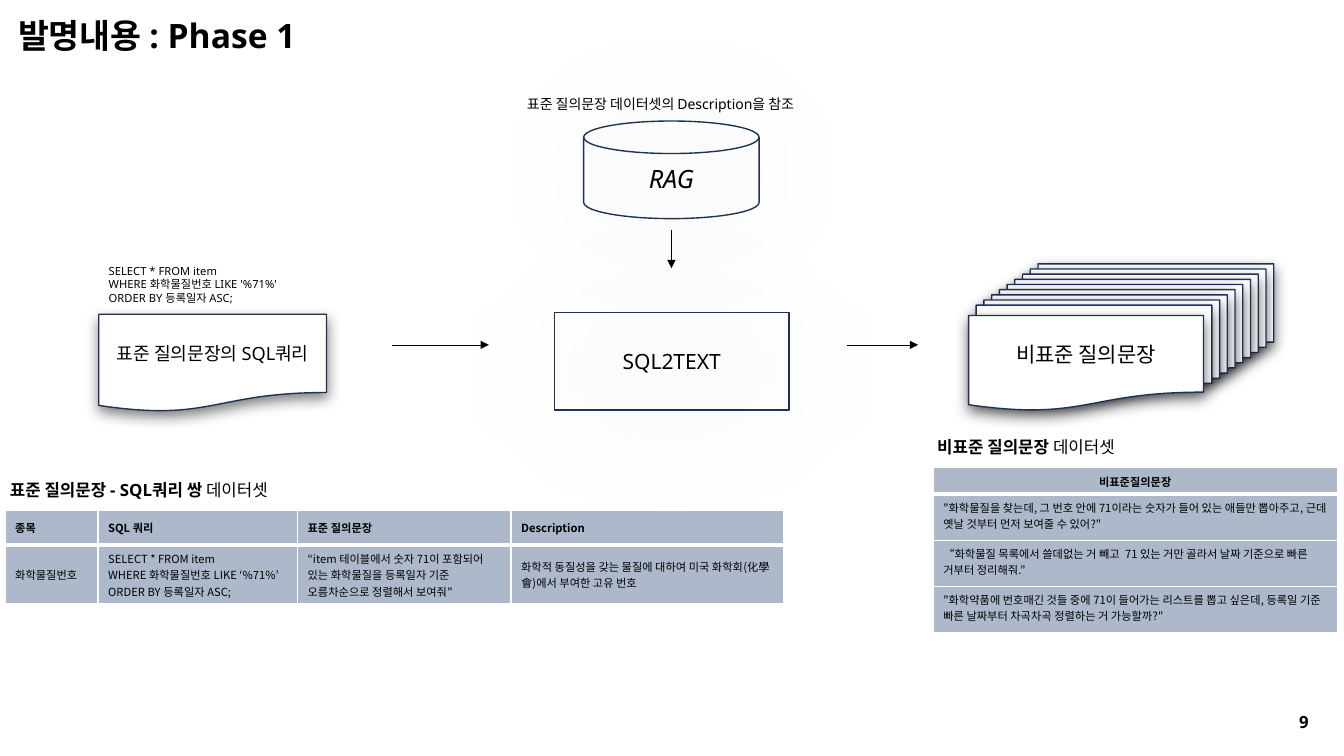
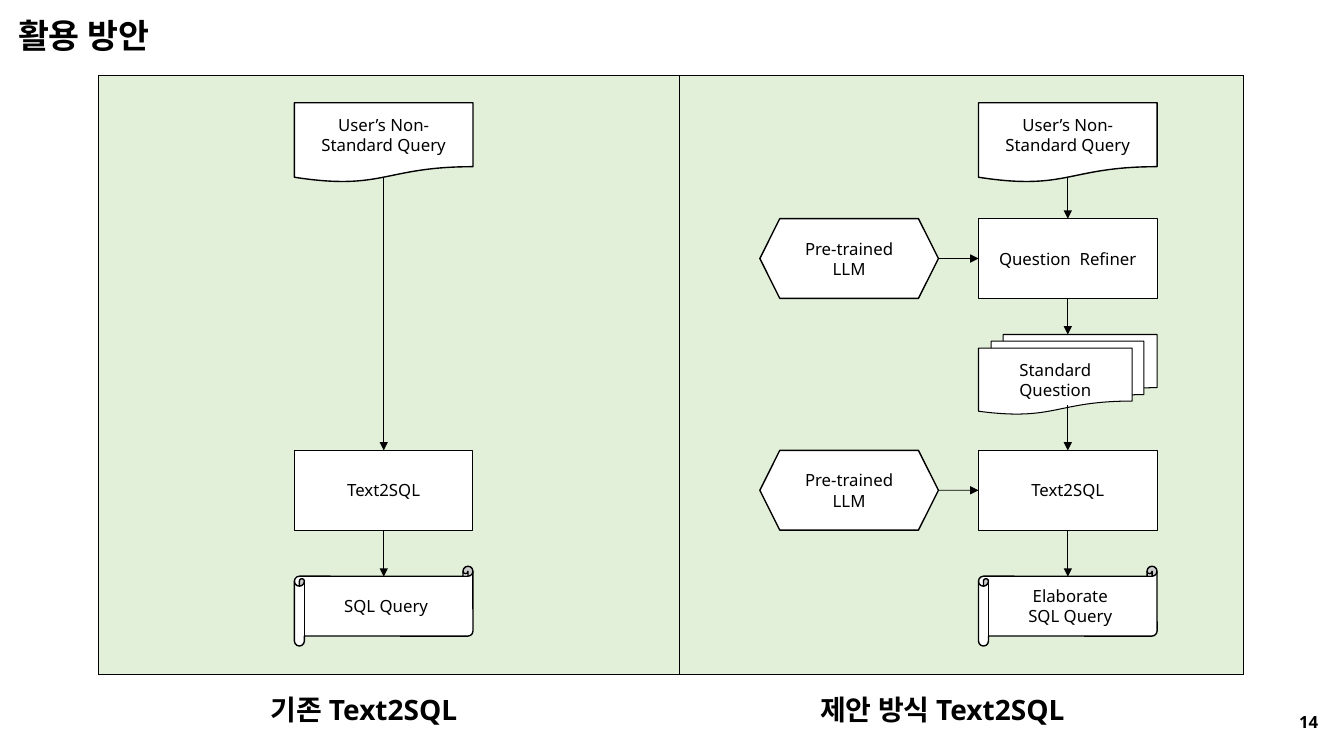
from lxml import etree
from pptx import Presentation
from pptx import util as u
from pptx.dml.color import RGBColor
from pptx.enum import shapes, text
from pptx.oxml import parse_xml
from pptx.oxml.ns import nsdecls, qn

Cm = u.Cm
KIND = shapes.MSO_SHAPE
LEFT, CENTER = text.PP_ALIGN.LEFT, text.PP_ALIGN.CENTER
TOP, MIDDLE = text.MSO_ANCHOR.TOP, text.MSO_ANCHOR.MIDDLE
COLORS = {"ink": "000000", "paper": "FFFFFF", "navy": "1E3256", "steel": "ADB9CA", "mint": "E2F0D9"}
LATIN, KOREAN = "Noto Sans", "Noto Sans CJK KR"
SOFT, WIDE = (50, 10), (43, 100)


def write(frame, lines, size, bold=False, italic=False, align=LEFT, anchor=TOP, font=LATIN):
    for name, value in {"word_wrap": True, "vertical_anchor": anchor}.items():
        setattr(frame, name, value)
    for index, line in enumerate(lines):
        paragraph = frame.paragraphs[0] if index == 0 else frame.add_paragraph()
        paragraph.alignment = align
        for part, words in enumerate(line.split("|")):
            run = paragraph.add_run()
            run.text = words
            look = {"size": u.Pt(size), "bold": bold and part == 0, "italic": italic, "name": font}
            for name, value in look.items():
                setattr(run.font, name, value)
            run.font.color.rgb = RGBColor.from_string(COLORS["ink"])
            etree.SubElement(run.font._element, qn("a:ea"), typeface=KOREAN)


def draw(slide, kind, box, label=(), size=12, line="ink", weight=1, fill="paper", shadow=None, italic=False):
    node = slide.shapes.add_shape(kind, *map(Cm, box))
    node.shadow.inherit = False
    if fill:
        node.fill.solid()
        node.fill.fore_color.rgb = RGBColor.from_string(COLORS[fill])
    else:
        node.fill.background()
    node.line.color.rgb = RGBColor.from_string(COLORS[line])
    node.line.width = u.Pt(weight)
    if shadow:
        opacity, blur = shadow
        node._element.spPr.find(qn("a:effectLst")).append(parse_xml(
            f'<a:outerShdw {nsdecls("a")} blurRad="{u.Pt(blur)}" dist="{u.Pt(4)}" dir="5400000" algn="t" rotWithShape="0">'
            f'<a:srgbClr val="{COLORS["ink"]}"><a:alpha val="{opacity * 1000}"/></a:srgbClr></a:outerShdw>'))
    write(node.text_frame, label, size, italic=italic, align=CENTER, anchor=MIDDLE)
    return node


deck = Presentation()
deck.slide_width, deck.slide_height = Cm(33.87), Cm(19.05)
title_layout = deck.slide_layouts[5]
title_area = {"left": 0.2, "top": 0.25, "width": 8.2, "height": 1.27}
for name, value in title_area.items():
    setattr(title_layout.placeholders[0], name, Cm(value))

pages = []
for heading, number in [("발명내용 : Phase 1", "9"), ("활용 방안", "14")]:
    page = deck.slides.add_slide(title_layout)
    page.shapes.title.text_frame.auto_size = text.MSO_AUTO_SIZE.NONE
    write(page.shapes.title.text_frame, [heading], 24, bold=True)
    number_area = page.shapes.add_textbox(Cm(32.49), Cm(17.81), Cm(1.19), Cm(0.76))
    write(number_area.text_frame, [number], 12, bold=True)
    pages.append(page)
phase, usage = pages

query_lines = ["SELECT * FROM item", "WHERE 화학물질번호 LIKE ‘%71%’", "ORDER BY 등록일자 ASC;"]
pair_rows = [
    [["종목"], ["SQL 쿼리"], ["표준 질의문장"], ["Description"]],
    [["화학물질번호"], query_lines,
     ["“item 테이블에서 숫자 71이 포함되어 있는 화학물질을 등록일자 기준 오름차순으로 정렬해서 보여줘\""],
     ["화학적 동질성을 갖는 물질에 대하여 미국 화학회(化學會)에서 부여한 고유 번호"]],
]
question_rows = [
    [["비표준질의문장"]],
    [["\"화학물질을 찾는데, 그 번호 안에 71이라는 숫자가 들어 있는 애들만 뽑아주고, 근데 옛날 것부터 먼저 보여줄 수 있어?\""]],
    [["“화학물질 목록에서 쓸데없는 거 빼고  71 있는 거만 골라서 날짜 기준으로 빠른 거부터 정리해줘.”"]],
    [["\"화학약품에 번호매긴 것들 중에 71이 들어가는 리스트를 뽑고 싶은데, 등록일 기준 빠른 날짜부터 차곡차곡 정렬하는 거 가능할까?\""]],
]
tables = [
    (phase, 0.13, 12.85, [2.34, 5.03, 5.38, 6.86], [0.89, 1.47], pair_rows, "steel", "paper", LEFT, MIDDLE),
    (phase, 23.52, 11.79, [10.18], [0.66, 1.16, 1.16, 1.16], question_rows, "steel", "paper", CENTER, TOP),
    (usage, 2.49, 1.91, [14.63], [15.09], [[[]]], "mint", "ink", LEFT, TOP),
    (usage, 17.12, 1.91, [14.22], [15.09], [[[]]], "mint", "ink", LEFT, TOP),
]
for page, left, top, widths, heights, rows, fill, border, head_align, body_anchor in tables:
    grid = page.shapes.add_table(len(heights), len(widths), Cm(left), Cm(top), Cm(sum(widths)), Cm(sum(heights))).table
    for column, width in zip(grid.columns, widths):
        column.width = Cm(width)
    for r, (row, height) in enumerate(zip(rows, heights)):
        grid.rows[r].height = Cm(height)
        for c, lines in enumerate(row):
            cell = grid.cell(r, c)
            head = r == 0
            write(cell.text_frame, lines, 8, bold=head, align=head_align if head else LEFT, font=KOREAN)
            cell.vertical_anchor = MIDDLE if head else body_anchor
            edges = {"lnL": 1, "lnR": 1, "lnT": 1, "lnB": 1}
            if len(rows) > 1:
                edges["lnB" if head else "lnT"] = 3 if r < 2 else 1
            for edge, weight in edges.items():
                cell._tc.get_or_add_tcPr().append(parse_xml(
                    f'<a:{edge} {nsdecls("a")} w="{u.Pt(weight)}"><a:solidFill>'
                    f'<a:srgbClr val="{COLORS[border]}"/></a:solidFill></a:{edge}>'))
            cell.fill.solid()
            cell.fill.fore_color.rgb = RGBColor.from_string(COLORS[fill])

captions = [
    (phase, (0, 11.96, 9, 0.76), ["표준 질의문장 - SQL쿼리 쌍| 데이터셋"], 12, True),
    (phase, (23.37, 10.87, 7, 0.76), ["비표준 질의문장 |데이터셋"], 12, True),
    (phase, (13.03, 2.29, 7.75, 0.69), ["표준 질의문장 데이터셋의 Description을 참조"], 10, False),
    (phase, (2.49, 6.53, 5.16, 1.27), [line.replace("‘", "'").replace("’", "'") for line in query_lines], 8, False),
    (usage, (6.58, 17.32, 6.15, 1.12), ["기존 Text2SQL"], 20, True),
    (usage, (20.42, 17.32, 7.47, 1.12), ["제안 방식 Text2SQL"], 20, True),
]
for page, box, lines, size, bold in captions:
    write(page.shapes.add_textbox(*map(Cm, box)).text_frame, lines, size, bold=bold)

DOCUMENT = KIND.FLOWCHART_DOCUMENT
draw(phase, DOCUMENT, (2.49, 7.92, 5.74, 2.46), ["표준 질의문장의 SQL쿼리"], 13, "navy", shadow=SOFT)
draw(phase, KIND.FLOWCHART_MAGNETIC_DISK, (14.71, 3.05, 4.42, 2.46), ["RAG"], 18, "navy", fill=None, shadow=WIDE, italic=True)
draw(phase, KIND.RECTANGLE, (13.97, 7.87, 5.92, 2.46), ["SQL2TEXT"], 15, "navy", fill=None, shadow=WIDE)
for sheet in range(9):
    draw(phase, DOCUMENT, (26.16 - 0.195 * sheet, 6.65 + 0.13 * sheet, 5.94, 2.46), line="navy", shadow=SOFT)
draw(phase, DOCUMENT, (24.41, 7.95, 5.92, 2.41), ["비표준 질의문장"], 15, "navy", shadow=SOFT)

WIDTH, HEIGHT = 4.5, 2.01
BASE_X, MODEL_X, NEW_X = 7.42, 19.15, 24.66
BASE_MID, NEW_MID = BASE_X + WIDTH / 2, NEW_X + WIDTH / 2
steps = [2.59 + 2.92 * step for step in range(5)]
flow = [
    (KIND.RECTANGLE, BASE_X, 3, ["Text2SQL"], 0.75),
    (KIND.RECTANGLE, NEW_X, 1, ["Question  Refiner"], 0.75),
    (KIND.RECTANGLE, NEW_X, 3, ["Text2SQL"], 0.75),
    (KIND.FLOWCHART_MULTIDOCUMENT, NEW_X, 2, ["Standard Question"], 0.75),
    (DOCUMENT, BASE_X, 0, ["User’s Non-Standard Query"], 1),
    (DOCUMENT, NEW_X, 0, ["User’s Non-Standard Query"], 1),
    (KIND.HEXAGON, MODEL_X, 1, ["Pre-trained LLM"], 1),
    (KIND.HEXAGON, MODEL_X, 3, ["Pre-trained LLM"], 1),
    (KIND.HORIZONTAL_SCROLL, BASE_X, 4, ["SQL Query"], 1),
    (KIND.HORIZONTAL_SCROLL, NEW_X, 4, ["Elaborate", "SQL Query"], 1),
]
nodes = [draw(usage, kind, (x, steps[step], WIDTH, HEIGHT), label, weight=weight)
         for kind, x, step, label, weight in flow]
base_sql, refiner, new_sql = nodes[:3]

document_end, scroll_edge = steps[0] + 1.86, steps[4] + 0.26
model_end = MODEL_X + WIDTH
refiner_mid, sql_mid = steps[1] + HEIGHT / 2, steps[3] + HEIGHT / 2
arrows = [
    (phase, 9.88, 8.69, 12.32, 8.69, {}),
    (phase, 16.92, 5.79, 16.92, 6.76, {}),
    (phase, 21.34, 8.69, 23.14, 8.69, {}),
    (usage, BASE_MID, document_end, BASE_MID, steps[3], {"end_connect": (base_sql, 0)}),
    (usage, BASE_MID, steps[3] + HEIGHT, BASE_MID, scroll_edge, {"begin_connect": (base_sql, 2)}),
    (usage, NEW_MID, document_end, NEW_MID, steps[1], {"end_connect": (refiner, 0)}),
    (usage, NEW_MID, steps[1] + HEIGHT, NEW_MID, steps[2], {"begin_connect": (refiner, 2)}),
    (usage, NEW_MID, steps[2] + 1.78, NEW_MID, steps[3], {"end_connect": (new_sql, 0)}),
    (usage, NEW_MID, steps[3] + HEIGHT, NEW_MID, scroll_edge, {"begin_connect": (new_sql, 2)}),
    (usage, model_end, refiner_mid, NEW_X, refiner_mid, {"end_connect": (refiner, 1)}),
    (usage, model_end, sql_mid, NEW_X, sql_mid, {"end_connect": (new_sql, 1)}),
]
for page, x1, y1, x2, y2, joins in arrows:
    arrow = page.shapes.add_connector(shapes.MSO_CONNECTOR.STRAIGHT, Cm(x1), Cm(y1), Cm(x2), Cm(y2))
    for method, site in joins.items():
        getattr(arrow, method)(*site)
    arrow.line.color.rgb = RGBColor.from_string(COLORS["ink"])
    arrow.line.width = u.Pt(0.5)
    etree.SubElement(arrow.line._get_or_add_ln(), qn("a:tailEnd"), type="triangle")
    etree.SubElement(arrow._element.spPr, qn("a:effectLst"))

deck.save("out.pptx")
